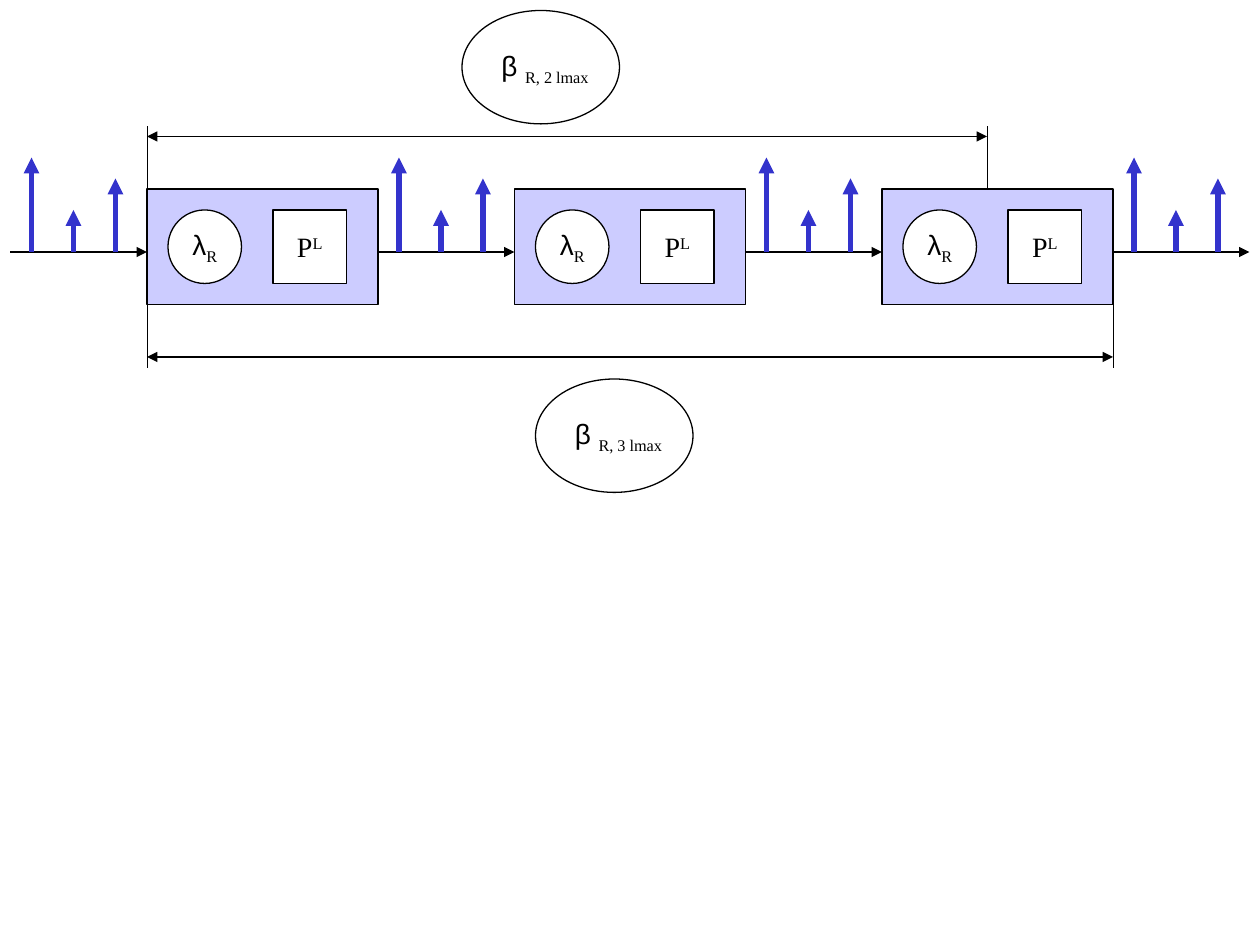
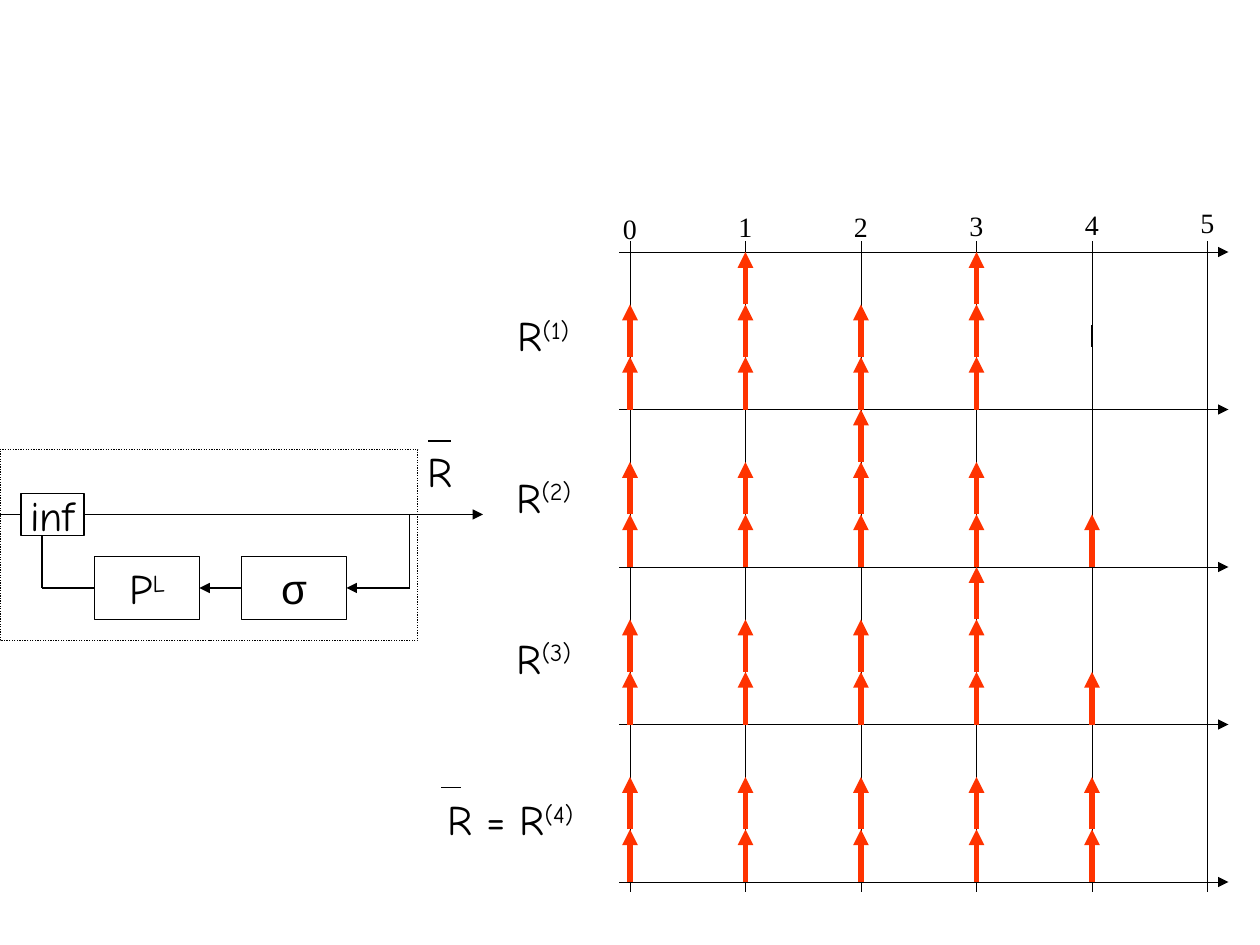
from dataclasses import dataclass
from typing import Optional

from lxml import etree
from pptx import Presentation
from pptx import util as u
from pptx.dml.color import RGBColor
from pptx.enum import dml, shapes, text
from pptx.oxml import ns

# Shared scale, colours and fonts
PX = 7620  # 120 px to the inch
BLACK = RGBColor(0x00, 0x00, 0x00)
WHITE = RGBColor(0xFF, 0xFF, 0xFF)
LILAC = RGBColor(0xCC, 0xCC, 0xFF)
BLUE = RGBColor(0x33, 0x33, 0xCC)
RED = RGBColor(0xFF, 0x33, 0x00)
SANS, SERIF, COMIC = "Arial", "Times New Roman", "Comic Neue"
RECT, OVAL = shapes.MSO_SHAPE.RECTANGLE, shapes.MSO_SHAPE.OVAL
TOP, MID = text.MSO_ANCHOR.TOP, text.MSO_ANCHOR.MIDDLE
LEFT, RIGHT = 1, 3


@dataclass
class Bit:
    """A run of text; base is the raise or drop in percent."""
    text: str
    font: str
    base: int = 0


@dataclass
class Box:
    x: int
    y: int
    w: int
    h: int

    def emu(self) -> list[int]:
        return [n * PX for n in (self.x, self.y, self.w, self.h)]


@dataclass
class Pen:
    color: RGBColor = BLACK
    width: float = 0.75
    dots: bool = False
    head: bool = False
    tail: bool = False


PLAIN = Pen()
ARROW = Pen(tail=True)
SPAN = Pen(head=True, tail=True)
GUIDE = Pen(width=0.25, dots=True)
GRID = Pen(width=0.25)
AXIS = Pen(width=0.25, tail=True)
FRAME = Pen(dots=True)
PULSE = Pen(BLUE, 3, tail=True)
STEP = Pen(RED, 3, tail=True)


# Drawing tools
def stroke(line, pen: Pen) -> None:
    line.color.rgb = pen.color
    line.width = u.Pt(pen.width)
    if pen.dots:
        line.dash_style = dml.MSO_LINE.ROUND_DOT


def write(shape, bits: list[Bit], size: int, anchor, wrap: bool = False) -> None:
    frame = shape.text_frame
    frame.word_wrap = wrap
    frame.vertical_anchor = anchor
    para = frame.paragraphs[0]
    para.alignment = text.PP_ALIGN.CENTER
    for bit in bits:
        run = para.add_run()
        run.text = bit.text
        run.font.name = bit.font
        run.font.size = u.Pt(size)
        run.font.color.rgb = BLACK
        if bit.base:
            run.font._element.set("baseline", str(bit.base * 1000))


def block(slide, kind, box: Box, fill: Optional[RGBColor] = None,
          bits: Optional[list[Bit]] = None, size: int = 16, pen: Pen = PLAIN):
    shape = slide.shapes.add_shape(kind, *box.emu())
    shape.shadow.inherit = False
    if fill is None:
        shape.fill.background()
    else:
        shape.fill.solid()
        shape.fill.fore_color.rgb = fill
    stroke(shape.line, pen)
    if bits:
        write(shape, bits, size, MID)
    return shape


def label(slide, box: Box, bits: list[Bit], size: int, wrap: bool = False) -> None:
    write(slide.shapes.add_textbox(*box.emu()), bits, size, TOP, wrap)


def link(slide, x1: int, y1: int, x2: int, y2: int, pen: Pen = PLAIN):
    line = slide.shapes.add_connector(
        shapes.MSO_CONNECTOR.STRAIGHT, *[n * PX for n in (x1, y1, x2, y2)])
    stroke(line.line, pen)
    etree.SubElement(line._element.spPr, ns.qn("a:effectLst"))
    edge = line._element.spPr.find(ns.qn("a:ln"))
    for tag, used in (("a:headEnd", pen.head), ("a:tailEnd", pen.tail)):
        if used:
            etree.SubElement(edge, ns.qn(tag), type="triangle")
    return line


# Slide 1: chain of three blocks and the spans around it
def chain(slide) -> None:
    start, pitch, wide, flow = 140, 350, 220, 240
    rate = [Bit("λ", SANS), Bit("R", SERIF, -25)]
    pack = [Bit("P", SERIF), Bit("L", SERIF, 30)]
    for i in range(4):
        x = start + i * pitch
        if i < 3:
            block(slide, RECT, Box(x, 180, wide, 110), LILAC)
            block(slide, OVAL, Box(x + 20, 200, 70, 70), WHITE, rate)
            block(slide, RECT, Box(x + 120, 200, 70, 70), WHITE, pack)
        link(slide, x - 130, flow, x, flow, ARROW)
        for back, tall in ((110, 90), (70, 40), (30, 70)):
            link(slide, x - back, flow, x - back, flow - tall, PULSE)

    end = start + 2 * pitch + wide
    for stop, top, mid, x, y, name in (
            (end, 290, 340, 510, 361, "R, 3 lmax"),
            (end - 120, 120, 130, 440, 10, "R, 2 lmax")):
        for side in (start, stop):
            link(slide, side, top, side, top + 60, GUIDE)
        link(slide, start, mid, stop, mid, SPAN)
        label(slide, Box(x + 19, y + 30, 120, 44),
              [Bit("β ", SANS), Bit(name, SERIF, -25)], 16, True)
        block(slide, OVAL, Box(x, y, 150, 108))


# Slide 2, left: feedback loop
def loop(slide) -> None:
    main, back = 490, 560
    pack = block(slide, RECT, Box(90, 530, 100, 60), None,
                 [Bit("P", COMIC), Bit("L", COMIC, 30)], 24)
    sigma = block(slide, RECT, Box(230, 530, 100, 60), None,
                  [Bit("σ", SANS)], 24)
    link(slide, 0, main, 460, main, ARROW)
    link(slide, 390, main, 390, back)
    link(slide, 390, back, 330, back, ARROW).end_connect(sigma, RIGHT)
    inner = link(slide, 230, back, 190, back, ARROW)
    inner.begin_connect(sigma, LEFT)
    inner.end_connect(pack, RIGHT)
    link(slide, 90, back, 40, back).begin_connect(pack, LEFT)
    link(slide, 40, back, 40, main, ARROW)
    block(slide, RECT, Box(20, 470, 60, 40), WHITE, [Bit("inf", COMIC)], 24)
    label(slide, Box(395, 418, 49, 60), [Bit("R", COMIC)], 24)
    link(slide, 408, 420, 430, 420)
    block(slide, RECT, Box(0, 428, 398, 182), pen=FRAME)


# Slide 2, right: stacked arrows in a grid of four rows
STACKS = ((2, 3, 2, 3, 0), (2, 2, 3, 2, 1), (2, 2, 2, 3, 1), (2, 2, 2, 2, 2))
TIPS = (196, 194, 194, 193, 192, 190)  # tops of the column numbers


def grid(slide) -> None:
    cols = [600 + 110 * i for i in range(len(TIPS))]
    rows = [240 + 150 * i for i in range(len(STACKS) + 1)]
    for i, (x, y) in enumerate(zip(cols, TIPS)):
        label(slide, Box(x - 19, y, 38, 46), [Bit(str(i), SERIF)], 16)
        link(slide, x, 230, x, 850, GRID)
    for y in rows:
        link(slide, 590, y, 1170, y, AXIS)
    link(slide, cols[4], 310, cols[4], 330)
    for base, stack in zip(rows[1:], STACKS):
        for x, count in zip(cols, stack):
            for n in range(count):
                y = base - 50 * n
                link(slide, x, y, x, y - 50, STEP)

    for x, y, wide, name, power in (
            (476, 289, 83, "R", "(1)"), (475, 443, 86, "R", "(2)"),
            (475, 596, 86, "R", "(3)"), (408, 750, 156, "R = R", "(4)")):
        label(slide, Box(x, y, wide, 61),
              [Bit(name, COMIC), Bit(power, COMIC, 30)], 24)
    link(slide, 420, 750, 439, 750)


def main() -> None:
    deck = Presentation()
    deck.slide_width, deck.slide_height = 1200 * PX, 900 * PX
    blank = deck.slide_layouts[6]
    chain(deck.slides.add_slide(blank))
    second = deck.slides.add_slide(blank)
    loop(second)
    grid(second)
    deck.save("out.pptx")


if __name__ == "__main__":
    main()
